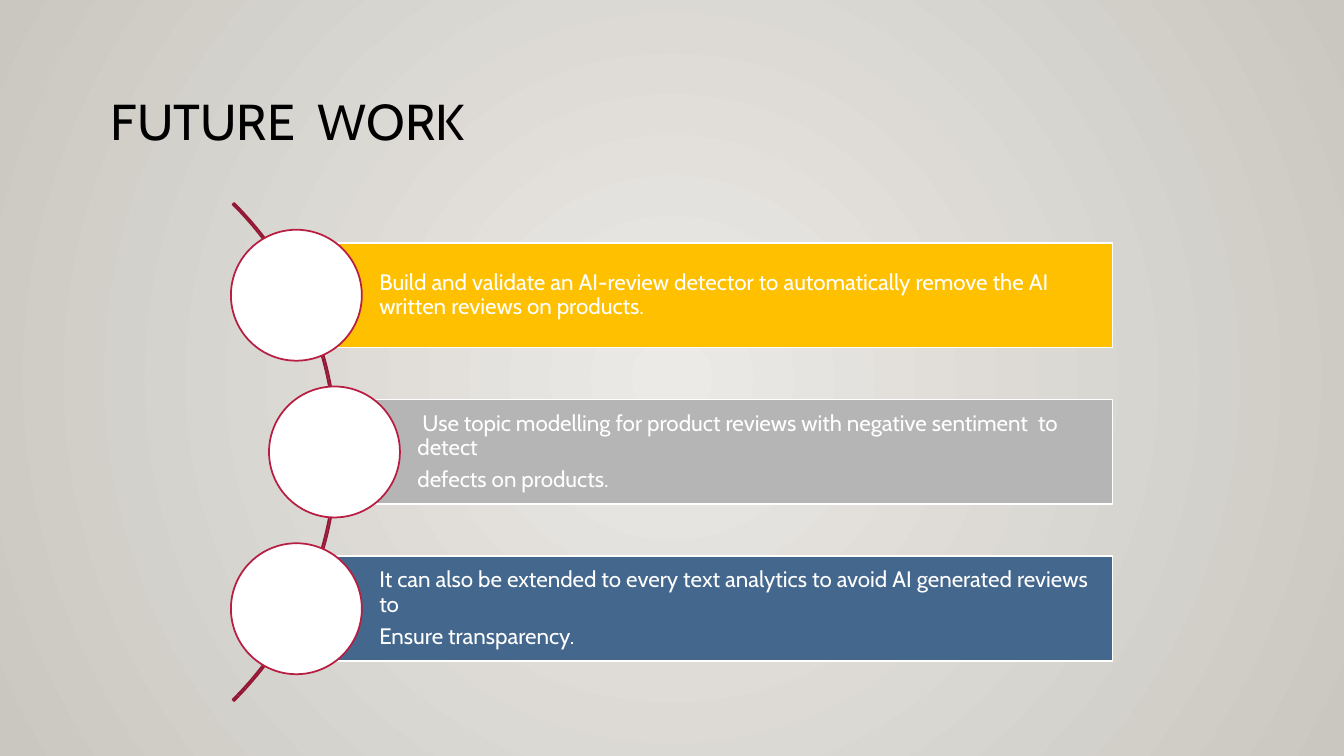
from lxml import etree
from pptx import Presentation
from pptx import util as u
from pptx.dml import color
from pptx.enum import shapes, text
from pptx.oxml import ns

Cm = u.Cm
HUES = {
    "light": "ECEAE7", "dark": "CAC7C1", "ink": "000000", "white": "FFFFFF",
    "gold": "FFC000", "gray": "B5B5B5", "blue": "44678D",
    "red": "B71E42", "wine": "931835",
}
STEPS = [
    ("gold", 0, ["Build and validate an AI-review detector to automatically "
                 "remove the AI written reviews on products."]),
    ("gray", 0.96, [" Use topic modelling for product reviews with negative "
                    "sentiment  to detect", "defects on products."]),
    ("blue", 0, ["It can also be extended to every text analytics to avoid "
                 "AI generated reviews to", "Ensure transparency."]),
]


def rgb(name):
    return color.RGBColor.from_string(HUES[name])


def apply(item, form):
    for key, value in form.items():
        setattr(item, key, value)


def write(box, lines, size, hue, anchor, after=0, **edges):
    frame = box.text_frame
    apply(frame, {"word_wrap": True, "vertical_anchor": anchor, **edges})
    for i, line in enumerate(lines):
        para = frame.paragraphs[0] if i == 0 else frame.add_paragraph()
        apply(para, {"alignment": text.PP_ALIGN.LEFT, "line_spacing": 0.9,
                     "space_after": u.Pt(after)})
        run = para.add_run()
        run.text = line
        apply(run.font, {"name": "Cabin", "size": u.Pt(size)})
        run.font.color.rgb = rgb(hue)


def draw(slide, kind, box, fill, line):
    shape = slide.shapes.add_shape(kind, *map(Cm, box))
    shape.shadow.inherit = False
    if fill:
        shape.fill.solid()
        shape.fill.fore_color.rgb = rgb(fill)
    else:
        shape.fill.background()
    shape.line.color.rgb = rgb(line)
    shape.line.width = u.Pt(1.25)
    return shape


def paint(slide):
    fill = slide.background.fill
    fill.gradient()
    for stop, hue in zip(fill.gradient_stops, ("light", "dark")):
        stop.color.rgb = rgb(hue)
    grad = slide.element.xpath(".//p:bg//a:gradFill")[0]
    for lin in grad.findall(ns.qn("a:lin")):
        grad.remove(lin)
    ring = etree.SubElement(grad, ns.qn("a:path"), {"path": "circle"})
    etree.SubElement(ring, ns.qn("a:fillToRect"), dict.fromkeys("ltrb", "50000"))


def title(slide, box):
    label = slide.shapes.add_textbox(*map(Cm, box))
    write(label, ["FUTURE  WORK"], 36, "ink", text.MSO_ANCHOR.BOTTOM)


def step(slide, box, hue, lines):
    left, top, width, size = box
    mid = size / 2
    high = size * 0.8
    bar = draw(slide, shapes.MSO_SHAPE.RECTANGLE,
               (left + mid, top + mid - high / 2, width - mid, high), hue, "white")
    write(bar, lines, 16, "white", text.MSO_ANCHOR.MIDDLE, 5.6,
          margin_left=Cm(2.09), margin_right=Cm(0.1),
          margin_top=Cm(0.1), margin_bottom=Cm(0.1))
    draw(slide, shapes.MSO_SHAPE.OVAL, (left, top, size, size), "white", "red")


def chain(slide, box):
    left, top, width, height = box
    size, pitch, span = 3.3, 3.95, 17.75
    mid = top + height / 2
    arc = draw(slide, shapes.MSO_SHAPE.BLOCK_ARC,
               (left - 15.07, mid - span / 2, span, span), None, "wine")
    for i, value in enumerate((189, 27, 0.003)):
        arc.adjustments[i] = value
    for i, (hue, shift, lines) in enumerate(STEPS):
        y = mid - size / 2 + (i - 1) * pitch
        step(slide, (left + shift, y, width - shift, size), hue, lines)


def main():
    deck = Presentation()
    apply(deck, {"slide_width": Cm(33.87), "slide_height": Cm(19.05)})
    slide = deck.slides.add_slide(deck.slide_layouts[6])
    paint(slide)
    title(slide, (2.54, 1.83, 21.64, 2.11))
    chain(slide, (5.82, 5.14, 22.22, 12.5))
    deck.save("out.pptx")


if __name__ == "__main__":
    main()
